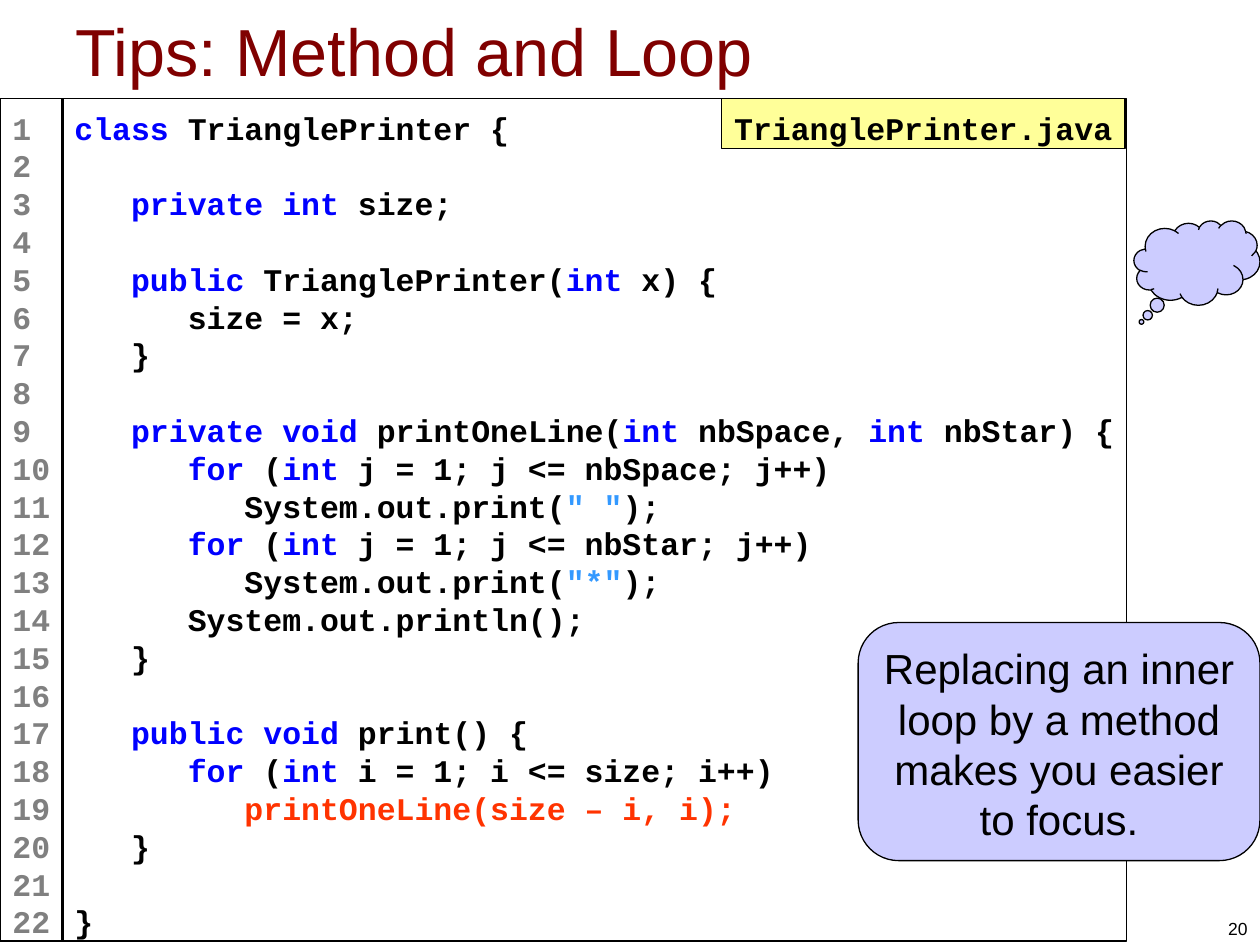
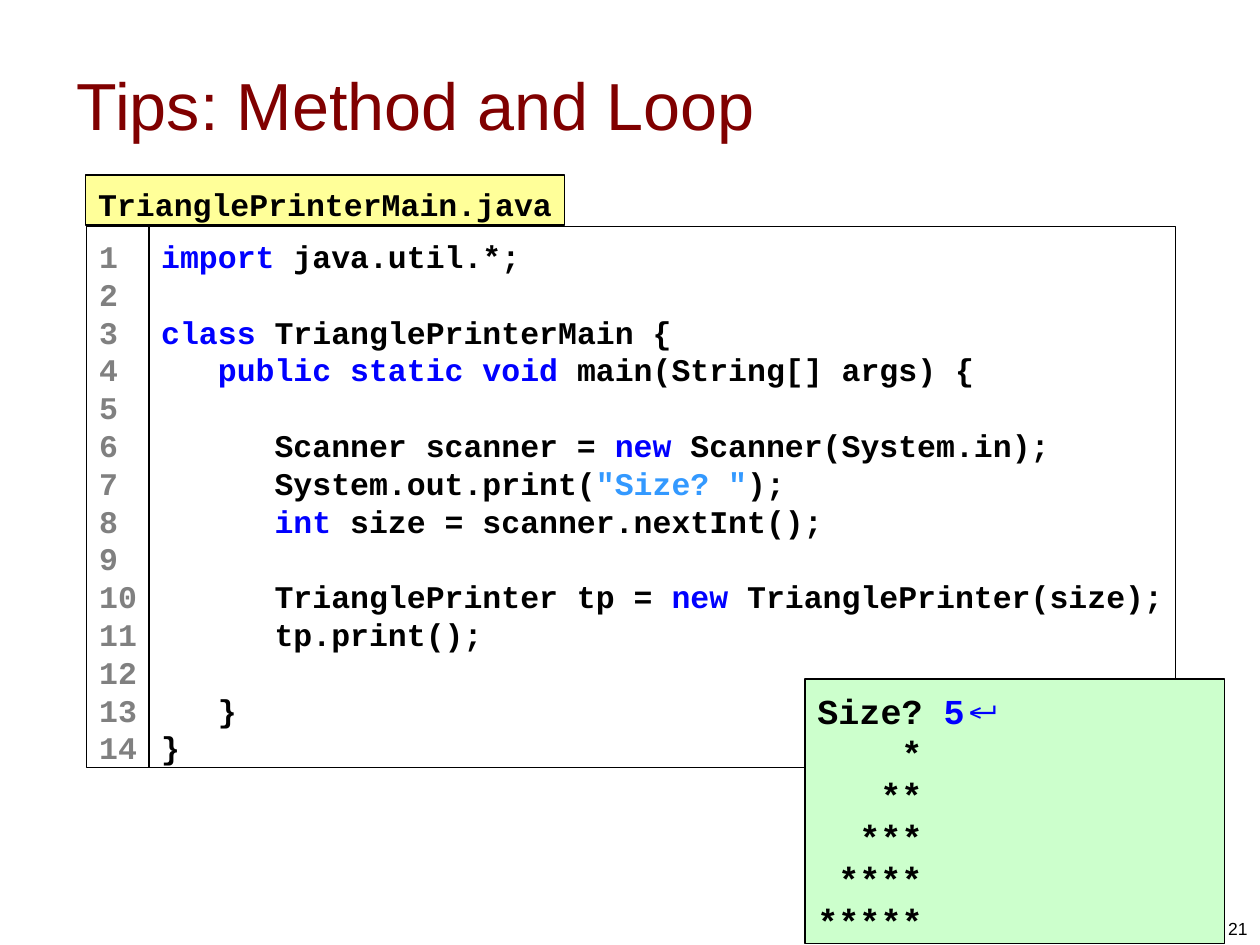
"""Build two slides that show how a method can replace an inner loop."""
from dataclasses import dataclass

from pptx import Presentation
from pptx.dml.color import RGBColor
from pptx.enum import shapes, text
from pptx.util import Cm, Pt


@dataclass(frozen=True)
class Theme:
    sans: str = "Arial"
    mono: str = "Courier New"
    black: str = "000000"
    white: str = "FFFFFF"
    maroon: str = "800000"
    gray: str = "808080"
    blue: str = "0000FF"
    sky: str = "3399FF"
    red: str = "FF3300"
    yellow: str = "FFFF99"
    lilac: str = "CCCCFF"
    green: str = "CCFFCC"
    head: int = 38
    note: int = 24
    shell: int = 20
    code: int = 18
    foot: int = 10
    lead: float = 1.2
    pitch: float = 0.6


look = Theme()
kind = shapes.MSO_SHAPE
side = text.PP_ALIGN
hold = text.MSO_ANCHOR
marks = {'"': look.sky, "!": look.red}


def write(shape, words, size=look.code, font=look.mono, ink=look.black,
          bold=True, align=side.LEFT, anchor=hold.TOP, wrap=False):
    """Write lines: `marks` colour parts, leading spaces indent, empty lines add space."""
    frame = shape.text_frame
    frame.word_wrap, frame.vertical_anchor = wrap, anchor
    frame.margin_left = frame.margin_right = Cm(0.25)
    frame.margin_top, frame.margin_bottom = Cm(0.21), Cm(0.13)
    para, gap = frame.paragraphs[0], 0
    for row, line in enumerate(words.split("\n")):
        if not line:
            gap += 1
            continue
        if row:
            para = frame.add_paragraph()
        body = line.lstrip(" ")
        inset = Pt((len(line) - len(body)) * size * look.pitch)
        if inset:
            para._p.get_or_add_pPr().set("marL", str(inset))
        para.alignment = align
        para.line_spacing = Pt(size * look.lead)
        para.space_before = Pt(gap * size * look.lead)
        gap = 0
        for turn, part in enumerate(body.split("`")):
            if not part:
                continue
            run = para.add_run()
            run.text = part.lstrip("!")
            run.font.size, run.font.bold = Pt(size), bold
            run.font.name = look.sans if part == "↵" else font
            tint = marks.get(part[0], look.blue) if turn % 2 else ink
            run.font.color.rgb = RGBColor.from_string(tint)


def draw(slide, form, spot, fill=None):
    """Draw an outlined shape at left, top, width and height in centimetres."""
    shape = slide.shapes.add_shape(form, *map(Cm, spot))
    shape.shadow.inherit = False
    if fill:
        shape.fill.solid()
        shape.fill.fore_color.rgb = RGBColor.from_string(fill)
    else:
        shape.fill.background()
    shape.line.color.rgb = RGBColor.from_string(look.black)
    shape.line.width = Pt(0.75)
    return shape


class_code = """`class` TrianglePrinter {

   `private int` size;

   `public` TrianglePrinter(`int` x) {
      size = x;
   }

   `private void` printOneLine(`int` nbSpace, `int` nbStar) {
      `for` (`int` j = 1; j <= nbSpace; j++)
         System.out.print(`" "`);
      `for` (`int` j = 1; j <= nbStar; j++)
         System.out.print(`"*"`);
      System.out.println();
   }

   `public void` print() {
      `for` (`int` i = 1; i <= size; i++)
         `!printOneLine(size – i, i);`
   }

}"""

main_code = """`import` java.util.*;

`class` TrianglePrinterMain {
   `public static void` main(String[] args) {

      Scanner scanner = `new` Scanner(System.in);
      System.out.print(`"Size? "`);
      `int` size = scanner.nextInt();

      TrianglePrinter tp = `new` TrianglePrinter(size);
      tp.print();

   }
}"""

result = """Size? `5``↵`
    *
   **
  ***
 ****
*****"""

pages = [
    dict(no=20, head=(1.27, 0), anchor=hold.TOP, code=class_code,
         left=0, top=1.98, wide=21.46,
         file="TrianglePrinter.java", tab=(14.55, 1.98, 8.13, 1.01)),
    dict(no=21, head=(1.3, 0.46), anchor=hold.MIDDLE, code=main_code,
         left=1.75, top=4.57, wide=20.7,
         file="TrianglePrinterMain.java", tab=(1.73, 3.53, 9.65, 1.01)),
]

deck = Presentation()
deck.slide_width, deck.slide_height = Cm(25.4), Cm(19.05)

for page in pages:
    slide = deck.slides.add_slide(deck.slide_layouts[6])
    title = slide.shapes.add_textbox(*map(Cm, (*page["head"], 22.86, 3.18)))
    write(title, "Tips: Method and Loop", size=look.head, font=look.sans,
          ink=look.maroon, bold=False, anchor=page["anchor"], wrap=True)

    count = len(page["code"].split("\n"))
    left, top = page["left"], page["top"]
    high = round(count * 0.76 + 0.27, 2)
    panel = draw(slide, kind.RECTANGLE, (left + 1.25, top, page["wide"], high), look.white)
    write(panel, page["code"])
    rail = draw(slide, kind.RECTANGLE, (left, top, 1.27, high))
    write(rail, "\n".join(str(n + 1) for n in range(count)), ink=look.gray)
    tab = draw(slide, kind.RECTANGLE, page["tab"], look.yellow)
    write(tab, page["file"])

    if page["code"] == class_code:
        note = draw(slide, kind.ROUNDED_RECTANGLE, (17.3, 12.55, 8.1, 4.8), look.lilac)
        note.adjustments[0] = 0.17
        write(note, "Replacing an inner loop by a method makes you easier to focus.",
              size=look.note, font=look.sans, bold=False, align=side.CENTER,
              anchor=hold.MIDDLE, wrap=True)
        cloud = draw(slide, kind.CLOUD_CALLOUT, (22.86, 4.45, 2.54, 1.7), look.lilac)
        cloud.adjustments[0], cloud.adjustments[1] = -0.44, 0.7
    else:
        shell = draw(slide, kind.RECTANGLE, (16.23, 13.69, 8.46, 5.33), look.green)
        write(shell, result, size=look.shell, wrap=True)

    foot = slide.shapes.add_textbox(*map(Cm, (19.48, 17.8, 5.92, 1.27)))
    write(foot, str(page["no"]), size=look.foot, font=look.sans, bold=False,
          align=side.RIGHT, anchor=hold.BOTTOM, wrap=True)

deck.save("out.pptx")
